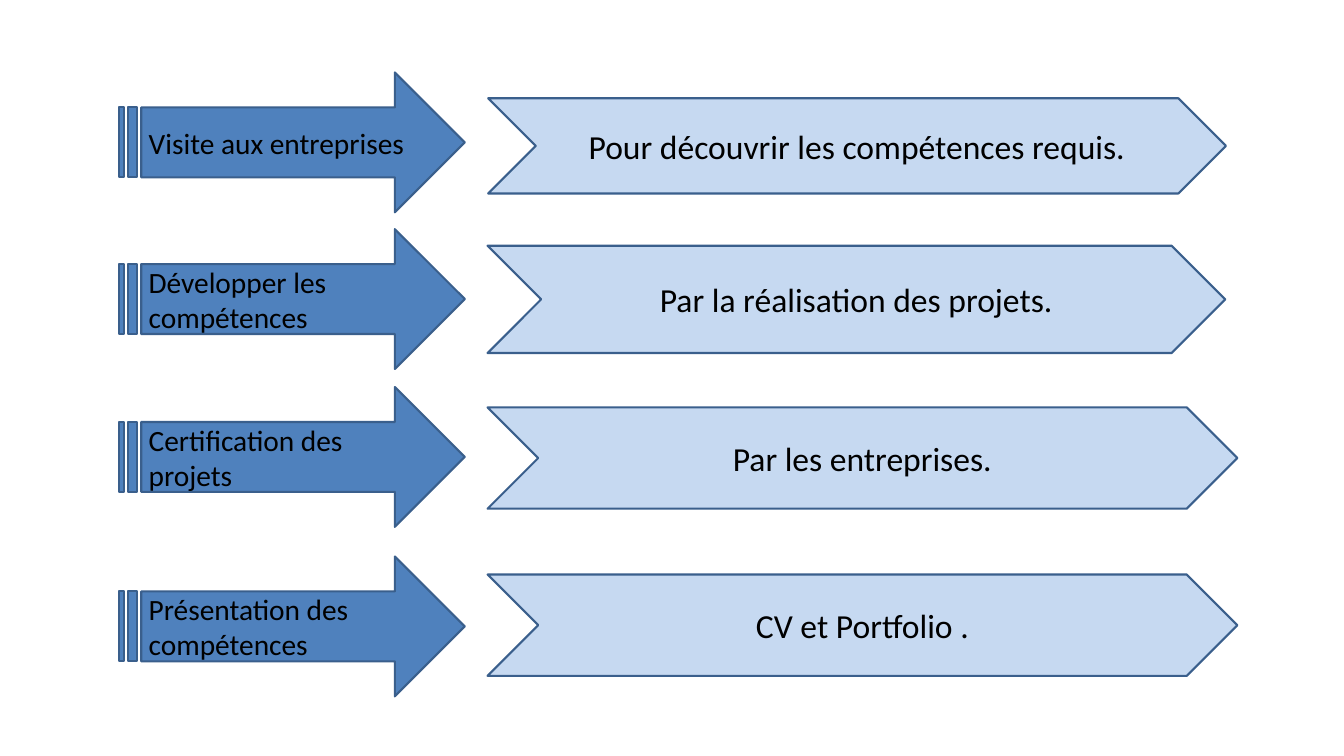
"""Builds a slide that pairs four career steps with how each is achieved."""
from pptx import Presentation
from pptx.dml.color import RGBColor
from pptx.enum import shapes, text
from pptx.util import Pt

COLOURS = {"step": "4F81BD", "detail": "C6D9F1", "line": "3A5F8C", "text": "000000"}


class Deck:
    """Holds the style and the current slide."""

    font_name = "Calibri"
    line_width = 2

    def __init__(self, width, height):
        self.presentation = Presentation()
        self.presentation.slide_width = Pt(width)
        self.presentation.slide_height = Pt(height)
        self.slide = self.presentation.slides.add_slide(self.presentation.slide_layouts[6])

    def block(self, kind, box, fill, words, size, alignment):
        """Adds a filled, outlined shape with text."""
        shape = self.slide.shapes.add_shape(kind, *map(Pt, box))
        shape.shadow.inherit = False
        shape.fill.solid()
        shape.fill.fore_color.rgb = RGBColor.from_string(COLOURS[fill])
        shape.line.color.rgb = RGBColor.from_string(COLOURS["line"])
        shape.line.width = Pt(self.line_width)
        frame = shape.text_frame
        frame.word_wrap = True
        frame.vertical_anchor = text.MSO_ANCHOR.MIDDLE
        paragraph = frame.paragraphs[0]
        paragraph.text = words
        paragraph.alignment = alignment
        paragraph.font.name = self.font_name
        paragraph.font.size = Pt(size)
        paragraph.font.color.rgb = RGBColor.from_string(COLOURS["text"])

    def step(self, top, words):
        """Adds a striped arrow that names a step."""
        self.block(shapes.MSO_SHAPE.STRIPED_RIGHT_ARROW, (113.75, top, 329, 133.2),
                   "step", words, 28, text.PP_ALIGN.LEFT)

    def detail(self, box, words):
        """Adds a chevron that explains a step."""
        self.block(shapes.MSO_SHAPE.CHEVRON, box, "detail", words, 32, text.PP_ALIGN.CENTER)


ROWS = [
    (69, "Visite aux entreprises", (465, 93.6, 702.7, 90.7),
     "Pour découvrir les compétences requis."),
    (218.2, "Développer les compétences", (464.4, 234, 702.7, 102.2),
     "Par la réalisation des projets."),
    (368.6, "Certification des projets", (464.4, 388, 714.2, 96.5),
     "Par les entreprises."),
    (530, "Présentation des compétences", (464.4, 547.2, 714.2, 96.5),
     "CV et Portfolio ."),
]

deck = Deck(1280.16, 720)
for step_top, step_words, detail_box, detail_words in ROWS:
    deck.step(step_top, step_words)
    deck.detail(detail_box, detail_words)
deck.presentation.save("out.pptx")
